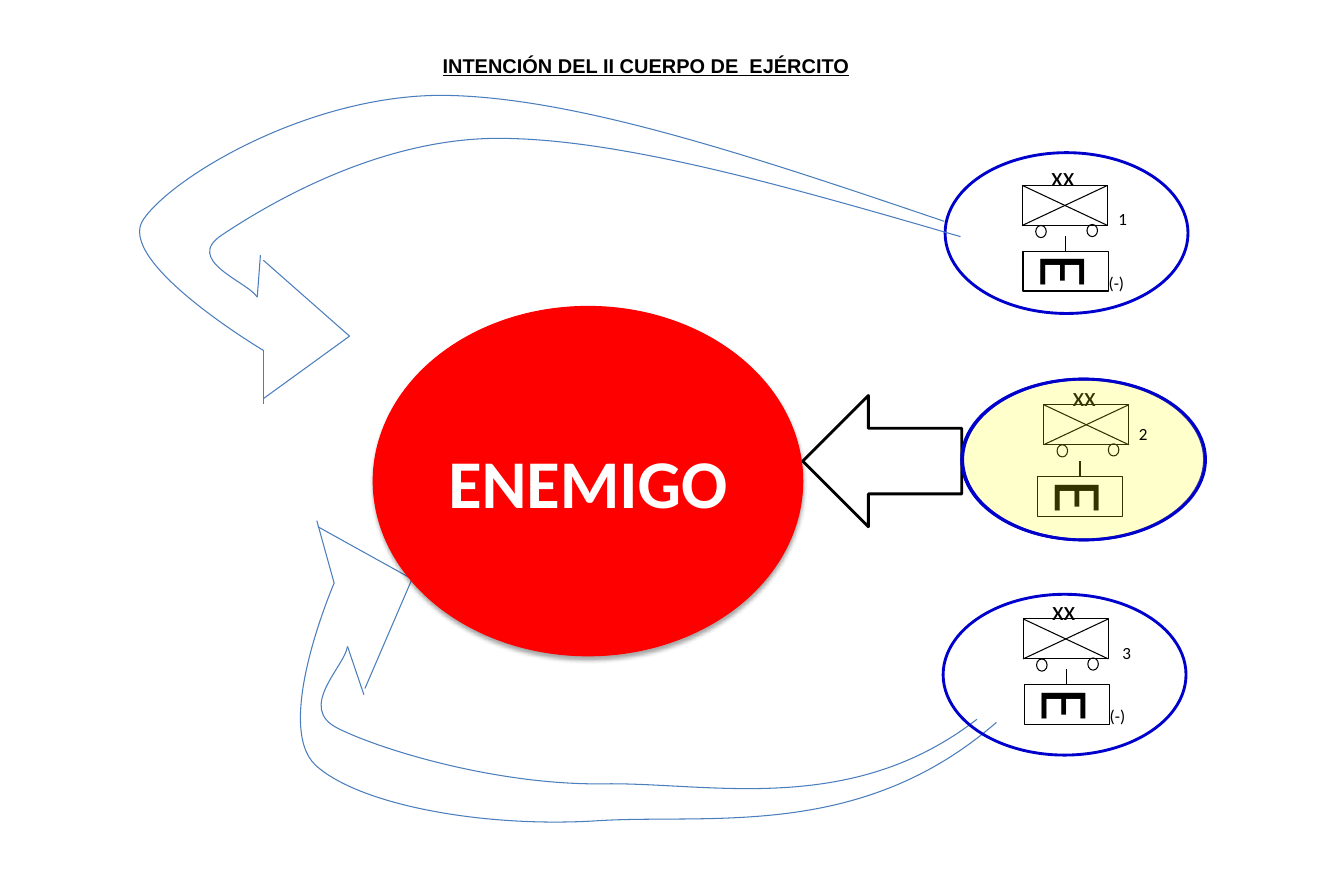
"""Builds the slide showing the intended manoeuvre of the II Army Corps."""
from lxml.etree import SubElement
from pptx import Presentation
from pptx.dml.color import RGBColor
from pptx.enum.shapes import MSO_CONNECTOR, MSO_SHAPE as Shape
from pptx.enum.text import MSO_ANCHOR as Anchor, MSO_AUTO_SIZE as AutoSize, PP_ALIGN as Align
from pptx.oxml.ns import qn
from pptx.util import Pt

COLORS = {"ink": "000000", "paper": "FFFFFF", "enemy": "FF0000",
          "friendly": "0000CC", "reserve": "FFFF00", "sweep": "4B7EBC"}

TITLE = "INTENCIÓN DEL II CUERPO DE  EJÉRCITO"
ENEMY = "ENEMIGO"
ECHELON, HEADQUARTERS, REDUCED = "xx", "E", "(-)"

UNITS = [
    {"number": "1", "symbol": (718, 130.3), "post": (718.5, 176.4),
     "zone": (663.8, 107.3), "label": (778.3, 143.3), "reduced": True, "reserve": False},
    {"number": "3", "symbol": (718.6, 434.9), "post": (719.3, 481),
     "zone": (662.4, 417.6), "label": (781.2, 447.8), "reduced": True, "reserve": False},
    {"number": "2", "symbol": (733, 284.4), "post": (728.6, 334.8),
     "zone": (675.4, 266.4), "label": (792.7, 293.8), "reduced": False, "reserve": True},
]

NORTH_SWEEP = {
    "curves": [
        [(663.1, 155.5), (533.5, 111.6), (404.6, 67.7), (310.3, 67), (216.7, 67),
         (121.7, 123.8), (100.8, 154.1), (79.9, 183.6), (185, 246.2), (185, 246.2)],
        [(674.6, 166.3), (555.8, 131.8), (436.3, 97.2), (349.9, 97.2), (263.5, 97.2),
         (184.3, 146.2), (156.2, 164.9), (128.2, 182.9), (174.2, 198), (180.7, 208.8)],
    ],
    "head": [((180.7, 208.8), (182.9, 179.3)), ((185, 283.7), (185, 246.2)),
             ((245.5, 236.2), (185, 182.9)), ((245.5, 236.2), (185, 280.1))],
}
SOUTH_SWEEP = {
    "curves": [
        [(699.8, 507.6), (604.8, 590.4), (499.7, 571.7), (419.8, 576.7), (340.6, 581.8),
         (252.7, 565.9), (221.8, 537.8), (191.5, 509.8), (234.7, 409.7), (234.7, 409.7)],
        [(686.2, 505.4), (596.9, 574.6), (497.5, 549.4), (422.6, 550.8), (348.5, 551.5),
         (267.8, 527), (237.6, 511.9), (208.1, 497.5), (241.9, 468.7), (244.1, 454.3)],
    ],
    "head": [((244.1, 454.3), (255.6, 488.2)), ((222.5, 365.8), (234.7, 409.7)),
             ((289.4, 406.8), (256.3, 483.8)), ((289.4, 406.8), (223.2, 370.1))],
}

FRAME_W, FRAME_H = 59.8, 28.1
ZONE_SIZE = (170.6, 113)
WHEEL_SIZE = (7.4, 8.6)
WHEEL_OFFSETS = [(45.4, 27.4), (9.4, 28.1)]


def rgb(name):
    """Return the named colour."""
    return RGBColor.from_string(COLORS[name])


def write(frame, text, size, font="Calibri", color="ink", bold=False, underline=False,
          align=Align.LEFT, anchor=Anchor.TOP, wrap=True, auto_size=AutoSize.NONE):
    """Fill a text frame with one formatted paragraph."""
    frame.word_wrap, frame.auto_size, frame.vertical_anchor = wrap, auto_size, anchor
    paragraph = frame.paragraphs[0]
    paragraph.alignment = align
    run = paragraph.add_run()
    run.text = text
    run.font.size, run.font.name = Pt(size), font
    run.font.bold, run.font.underline = bold, underline
    run.font.color.rgb = rgb(color)


def add_label(shapes, box, text, size, rotation=0, **style):
    """Add a text box that fits its text."""
    label = shapes.add_textbox(*map(Pt, box))
    label.rotation = rotation
    write(label.text_frame, text, size, auto_size=AutoSize.SHAPE_TO_FIT_TEXT, **style)


def add_figure(shapes, kind, box, fill=None, line="ink", width=0.75):
    """Add a preset shape without shadow."""
    figure = shapes.add_shape(kind, *map(Pt, box))
    paint(figure, fill, line, width)
    return figure


def paint(figure, fill, line, width):
    """Set fill and outline and drop the shadow."""
    figure.shadow.inherit = False
    if fill:
        figure.fill.solid()
        figure.fill.fore_color.rgb = rgb(fill)
    else:
        figure.fill.background()
    figure.line.color.rgb, figure.line.width = rgb(line), Pt(width)


def add_line(shapes, start, end, color="ink"):
    """Add a straight thin line."""
    line = shapes.add_connector(MSO_CONNECTOR.STRAIGHT, *map(Pt, (*start, *end)))
    line.line.color.rgb, line.line.width = rgb(color), Pt(0.75)
    SubElement(line._element.spPr, qn("a:effectLst"))


def add_curve(shapes, points):
    """Add a chain of cubic curves, three points to each."""
    start, *rest = [(Pt(x), Pt(y)) for x, y in points]
    builder = shapes.build_freeform(*start, scale=1.0)
    builder.add_line_segments(rest, close=False)
    curve = builder.convert_to_shape()
    paint(curve, None, "sweep", 0.75)
    segments = list(curve._element.iter(qn("a:lnTo")))
    outline = segments[0].getparent()
    for first in range(0, len(segments), 3):
        bezier = SubElement(outline, qn("a:cubicBezTo"))
        for segment in segments[first:first + 3]:
            bezier.append(segment[0])
            outline.remove(segment)


def add_sweep(shapes, sweep):
    """Add the two flanks and the head of an enveloping arrow."""
    for points in sweep["curves"]:
        add_curve(shapes, points)
    for start, end in sweep["head"]:
        add_line(shapes, start, end, "sweep")


def add_enemy(shapes):
    """Add the enemy oval with its soft shadow."""
    enemy = add_figure(shapes, Shape.OVAL, (262.1, 215.3, 301.7, 245.5), "enemy", "enemy")
    write(enemy.text_frame, ENEMY, 48, color="paper", bold=True,
          align=Align.CENTER, anchor=Anchor.MIDDLE)
    effects = enemy._element.spPr.find(qn("a:effectLst"))
    shadow = SubElement(effects, qn("a:outerShdw"), blurRad=str(Pt(3.1)), dist=str(Pt(1.8)),
                        dir="5400000", rotWithShape="0")
    shade = SubElement(shadow, qn("a:srgbClr"), val=COLORS["ink"])
    SubElement(shade, qn("a:alpha"), val="35000")


def add_unit(shapes, unit):
    """Add a division symbol, its command post and its zone."""
    x, y = unit["symbol"]
    right, bottom = x + FRAME_W, y + FRAME_H
    add_figure(shapes, Shape.RECTANGLE, (x, y, FRAME_W, FRAME_H), "paper")
    add_line(shapes, (right, y), (x, bottom))
    add_line(shapes, (right, bottom), (x, y))
    for dx, dy in WHEEL_OFFSETS:
        add_figure(shapes, Shape.OVAL, (x + dx, y + dy, *WHEEL_SIZE))
    add_label(shapes, (x + 3.6, y - 21.6, 49.7, 30.2), ECHELON, 19, align=Align.CENTER)

    x, y = unit["post"]
    add_figure(shapes, Shape.RECTANGLE, (x, y, FRAME_W, FRAME_H), "paper")
    add_label(shapes, (x + 17.3, y - 23.5, 27.4, 65.5), HEADQUARTERS, 48, rotation=90)
    add_line(shapes, (x + FRAME_W / 2, y - 10.8), (x + FRAME_W / 2, y))
    if unit["reduced"]:
        add_label(shapes, (x + 53, y + 11.5, 28.1, 21.6), REDUCED, 12)

    x, y = unit["zone"]
    add_figure(shapes, Shape.OVAL, (x, y, *ZONE_SIZE), line="friendly", width=2)
    if unit["reserve"]:
        tint = add_figure(shapes, Shape.OVAL, (x + 0.7, y, *ZONE_SIZE), "reserve", "friendly", 2)
        shade = tint._element.spPr.find(qn("a:solidFill"))[0]
        SubElement(shade, qn("a:alpha"), val="20000")


def main():
    """Compose the slide and save it."""
    deck = Presentation()
    deck.slide_width, deck.slide_height = Pt(943.92), Pt(612.72)
    shapes = deck.slides.add_slide(deck.slide_layouts[6]).shapes
    add_label(shapes, (303.8, 33.8, 302.4, 24.5), TITLE, 14, font="Arial", bold=True,
              underline=True, anchor=Anchor.MIDDLE, wrap=False)
    add_sweep(shapes, SOUTH_SWEEP)
    add_enemy(shapes)
    add_figure(shapes, Shape.LEFT_ARROW, (563.8, 277.9, 111.6, 92.2), "paper", width=2)
    for unit in UNITS:
        add_unit(shapes, unit)
    add_sweep(shapes, NORTH_SWEEP)
    for unit in UNITS:
        add_label(shapes, (*unit["label"], 28.1, 21.6), unit["number"], 12)
    deck.save("out.pptx")


if __name__ == "__main__":
    main()
